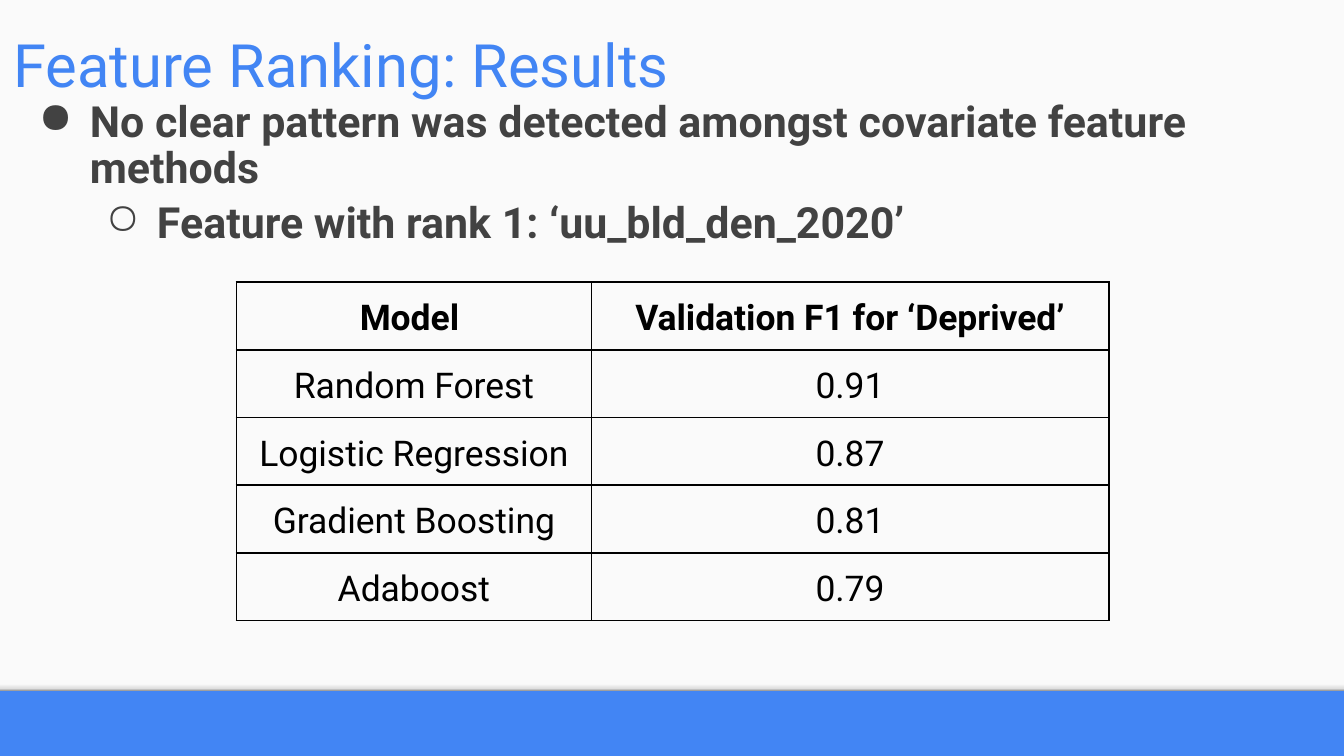
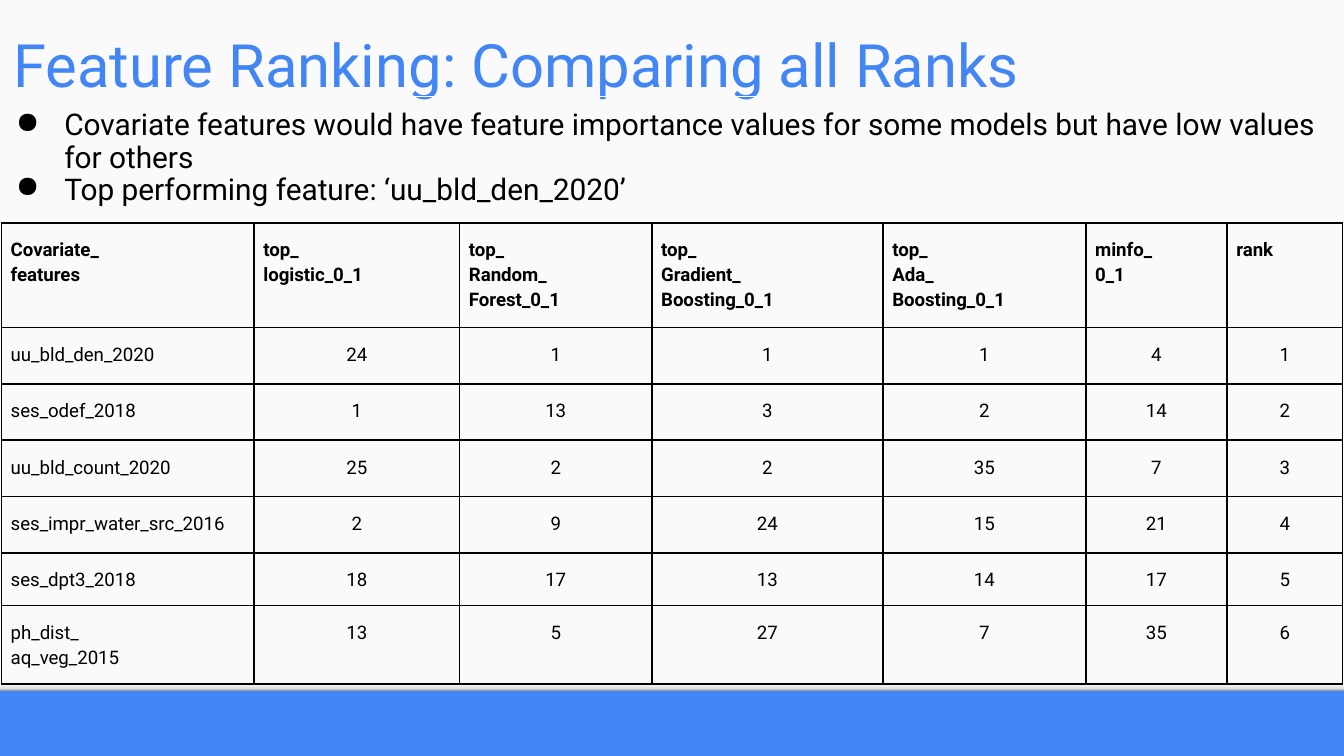
from dataclasses import dataclass

from lxml import etree
from pptx import Presentation
from pptx.dml.color import RGBColor
from pptx.enum import shapes, text
from pptx.oxml import ns
from pptx.util import Inches, Pt


@dataclass(frozen=True)
class Theme:
    font: str = "Roboto"
    accent: str = "4285F4"
    panel: str = "FAFAFA"
    body: str = "424242"
    ink: str = "000000"
    edge_stops: tuple = ((0, "F9F9F9"), (36, "F9F9F9"), (80, "DEDEDE"), (100, "999999"))
    title_size: float = 32
    lead_size: float = 23
    note_size: float = 16
    result_size: float = 19
    rank_size: float = 10


THEME = Theme()
LEFT, CENTER = text.PP_ALIGN.LEFT, text.PP_ALIGN.CENTER

RESULTS = [
    ("Model ", "Validation F1 for ‘Deprived’"),
    ("Random Forest", "0.91"),
    ("Logistic Regression", "0.87"),
    ("Gradient Boosting", "0.81"),
    ("Adaboost", "0.79"),
]

RANKS = [
    ("Covariate_\nfeatures", "top_\nlogistic_0_1", "top_\nRandom_\nForest_0_1",
     "top_\nGradient_\nBoosting_0_1", "top_\nAda_\nBoosting_0_1", "minfo_\n0_1", "rank"),
    ("uu_bld_den_2020", 24, 1, 1, 1, 4, 1),
    ("ses_odef_2018", 1, 13, 3, 2, 14, 2),
    ("uu_bld_count_2020", 25, 2, 2, 35, 7, 3),
    ("ses_impr_water_src_2016", 2, 9, 24, 15, 21, 4),
    ("ses_dpt3_2018", 18, 17, 13, 14, 17, 5),
    ("ph_dist_\naq_veg_2015", 13, 5, 27, 7, 35, 6),
]


def rgb(color):
    return RGBColor.from_string(color)


def add_element(parent, tag, **attributes):
    return etree.SubElement(parent, ns.qn(tag), attributes)


def format_runs(paragraph, size, color, bold=False):
    for run in paragraph.runs:
        run.font.name = THEME.font
        run.font.size = Pt(size)
        run.font.bold = bold
        run.font.color.rgb = rgb(color)


def set_margins(frame, horizontal, vertical):
    frame.margin_left = frame.margin_right = Inches(horizontal)
    frame.margin_top = frame.margin_bottom = Inches(vertical)


def add_rectangle(slide, left, top, width, height):
    shape = slide.shapes.add_shape(
        shapes.MSO_SHAPE.RECTANGLE,
        Inches(left), Inches(top), Inches(width), Inches(height))
    shape.shadow.inherit = False
    return shape


def add_text_box(slide, left, top, width, height, anchor):
    box = slide.shapes.add_textbox(
        Inches(left), Inches(top), Inches(width), Inches(height))
    frame = box.text_frame
    frame.word_wrap = True
    frame.vertical_anchor = anchor
    set_margins(frame, 0.1, 0.1)
    return frame


def add_base_slide(presentation, title):
    """Add a slide with the blue background, light panel, shaded edge and title."""
    slide = presentation.slides.add_slide(presentation.slide_layouts[6])
    slide.background.fill.solid()
    slide.background.fill.fore_color.rgb = rgb(THEME.accent)

    panel = add_rectangle(slide, 0, 0, 10, 5.14)
    panel.fill.solid()
    panel.fill.fore_color.rgb = rgb(THEME.panel)
    panel.line.fill.background()

    edge = add_rectangle(slide, 0, 5.06, 10, 0.08)
    edge.line.fill.background()
    edge.fill.gradient()
    edge.fill.gradient_angle = 270
    stops = edge.element.spPr.find(".//" + ns.qn("a:gsLst"))
    for stop in list(stops):
        stops.remove(stop)
    for position, color in THEME.edge_stops:
        stop = add_element(stops, "a:gs", pos=str(position * 1000))
        add_element(stop, "a:srgbClr", val=color)

    frame = add_text_box(slide, 0, 0, 8.99, 0.84, text.MSO_ANCHOR.BOTTOM)
    frame.text = title
    format_runs(frame.paragraphs[0], THEME.title_size, THEME.accent)
    return slide


def set_bullet(paragraph, character, color, indent, hanging):
    properties = paragraph._p.get_or_add_pPr()
    properties.set("marL", str(Inches(indent)))
    properties.set("indent", str(-Inches(hanging)))
    bullet_color = add_element(properties, "a:buClr")
    add_element(bullet_color, "a:srgbClr", val=color)
    add_element(properties, "a:buChar", char=character)


def fill_bullets(frame, items, size, color, hanging, bold=False):
    """Write (text, level, line spacing) items as a bulleted list."""
    frame.text = "\n".join(item[0] for item in items)
    for paragraph, (_, level, spacing) in zip(frame.paragraphs, items):
        set_bullet(paragraph, "●○"[level], color, 0.5 * (level + 1), hanging)
        paragraph.level = level
        paragraph.alignment = LEFT
        paragraph.line_spacing = spacing
        format_runs(paragraph, size, color, bold)


def set_borders(cell):
    properties = cell._tc.get_or_add_tcPr()
    for side in ("a:lnL", "a:lnR", "a:lnT", "a:lnB"):
        border = add_element(properties, side, w=str(Pt(1)))
        fill = add_element(border, "a:solidFill")
        add_element(fill, "a:srgbClr", val=THEME.ink)


def add_grid(slide, box, widths, heights, rows, size, margins, align):
    """Add a bordered table; align(row, column) gives each cell's alignment.

    The row heights are minimums: rows grow with their text.
    """
    graphic_frame = slide.shapes.add_table(
        len(rows), len(widths), *(Inches(length) for length in box))
    table = graphic_frame.table
    table.first_row = table.horz_banding = False
    for column, width in zip(table.columns, widths):
        column.width = Inches(width)
    for row, height in zip(table.rows, heights):
        row.height = Inches(height)
    graphic_frame.height = Inches(box[3])
    for i, values in enumerate(rows):
        for j, value in enumerate(values):
            cell = table.cell(i, j)
            set_borders(cell)
            cell.fill.background()
            set_margins(cell, *margins)
            cell.text_frame.text = str(value)
            for paragraph in cell.text_frame.paragraphs:
                paragraph.alignment = align(i, j)
                paragraph.line_spacing = 1.15
                format_runs(paragraph, size, THEME.ink, bold=i == 0)


def add_results_slide(presentation):
    slide = add_base_slide(presentation, "Feature Ranking: Results")
    frame = add_text_box(slide, 0.07, 0.77, 9.17, 1.11, text.MSO_ANCHOR.MIDDLE)
    frame.margin_bottom = Inches(0.17)
    fill_bullets(frame, [
        ("No clear pattern was detected amongst covariate feature methods", 0, 0.9),
        ("Feature with rank 1: ‘uu_bld_den_2020’", 1, 1.05),
    ], THEME.lead_size, THEME.body, 0.38, bold=True)
    add_grid(slide, (1.76, 2.1, 6.49, 2.39), [2.64, 3.85], [0.33] * len(RESULTS),
             RESULTS, THEME.result_size, (0.07, 0.07), lambda row, column: CENTER)


def add_ranks_slide(presentation):
    slide = add_base_slide(presentation, "Feature Ranking: Comparing all Ranks")
    notes = add_rectangle(slide, -0.12, 0.72, 10.11, 1.21)
    notes.fill.background()
    notes.line.color.rgb = rgb(THEME.panel)
    notes.line.width = Pt(0.75)
    frame = notes.text_frame
    frame.word_wrap = True
    frame.vertical_anchor = text.MSO_ANCHOR.TOP
    set_margins(frame, 0.1, 0.1)
    fill_bullets(frame, [
        ("Covariate features would have feature importance values for some models "
         "but have low values for others", 0, 0.9),
        ("Top performing feature: ‘uu_bld_den_2020’", 0, 0.9),
    ], THEME.note_size, THEME.ink, 0.36)
    add_grid(slide, (0.01, 1.66, 9.98, 3.38), [1.88, 1.53, 1.43, 1.72, 1.51, 1.05, 0.86],
             [0.61] + [0.42] * 4 + [0, 0.42], RANKS, THEME.rank_size, (0.07, 0.1),
             lambda row, column: CENTER if row and column else LEFT)


def main():
    presentation = Presentation()
    presentation.slide_width = Inches(10)
    presentation.slide_height = presentation.slide_width * 9 // 16
    add_results_slide(presentation)
    add_ranks_slide(presentation)
    presentation.save("out.pptx")


if __name__ == "__main__":
    main()
